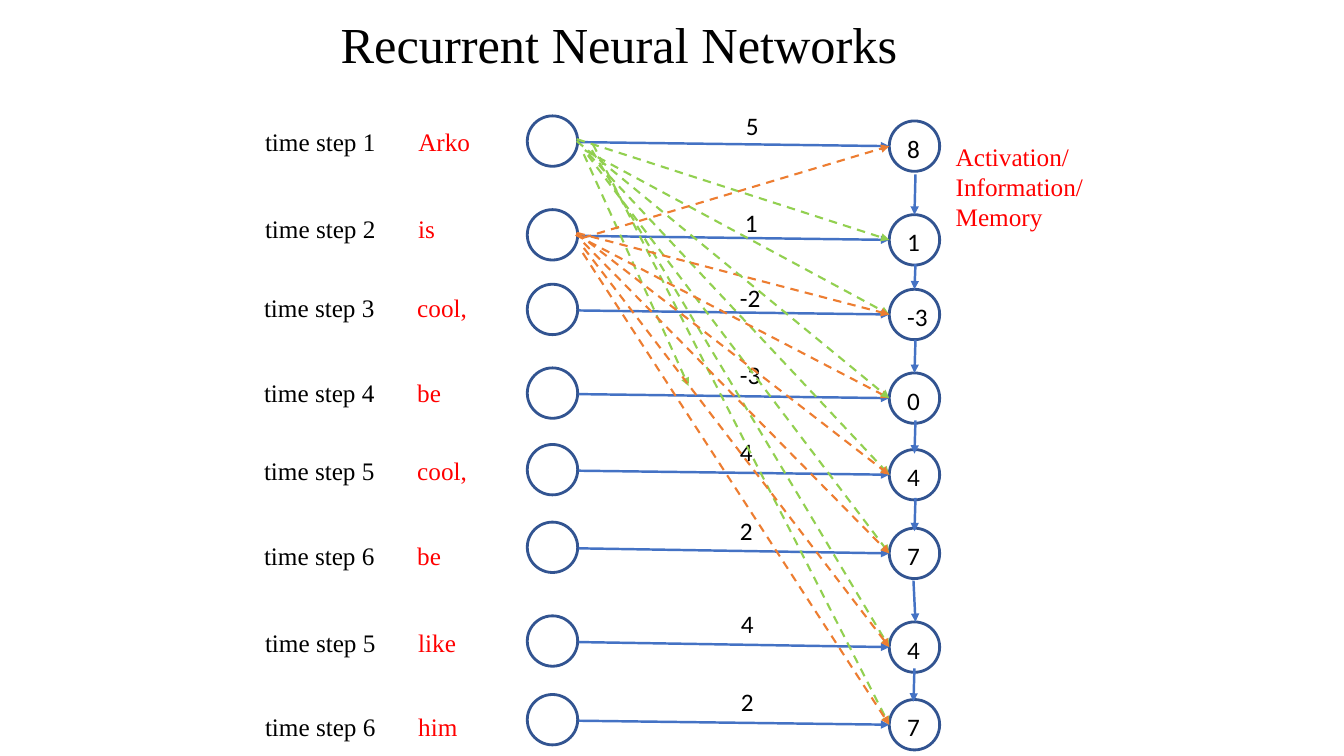
from lxml import etree
from pptx import Presentation, util as u
from pptx.dml.color import RGBColor
from pptx.enum import dml, shapes, text
from pptx.oxml.ns import qn

PX = 9144
BLACK = RGBColor(0x00, 0x00, 0x00)
RED = RGBColor(0xFF, 0x00, 0x00)
NAVY = RGBColor(0x32, 0x54, 0x91)
BLUE = RGBColor(0x44, 0x72, 0xC4)
GREEN = RGBColor(0x92, 0xD0, 0x50)
ORANGE = RGBColor(0xED, 0x7D, 0x31)
SERIF = "Times New Roman"

NODE = 50
INPUT_X, OUTPUT_X = 523, 882

deck = Presentation()
deck.slide_width, deck.slide_height = 1333 * PX, 750 * PX
slide = deck.slides.add_slide(deck.slide_layouts[6])


def add_label(wording, x, y, w, h=40, wrap=False, **changes):
    frame = slide.shapes.add_textbox(x * PX, y * PX, w * PX, h * PX).text_frame
    frame.word_wrap = wrap
    frame.text = wording
    look = {"name": SERIF, "size": u.Pt(18)} | changes
    color = look.pop("color", BLACK)
    for paragraph in frame.paragraphs:
        for attribute, value in look.items():
            setattr(paragraph.font, attribute, value)
        paragraph.font.color.rgb = color
    return frame


def add_arrow(start, end, color, width=1.75, dash=None):
    arrow = slide.shapes.add_connector(
        shapes.MSO_CONNECTOR.STRAIGHT, *(n * PX for n in (*start, *end)))
    arrow.line.color.rgb = color
    arrow.line.width = u.Pt(width)
    if dash:
        arrow.line.dash_style = dash
    etree.SubElement(arrow.line._get_or_add_ln(), qn("a:tailEnd"), type="triangle")
    etree.SubElement(arrow._element.spPr, qn("a:effectLst"))


title = add_label("Recurrent Neural Networks", 328, 5, 678, 83, True, size=u.Pt(36))
title.vertical_anchor = text.MSO_ANCHOR.MIDDLE
title.paragraphs[0].line_spacing = 0.9

steps = [
    ("time step 1", 253, 120, "Arko", 72, "5", 730, 105, 115, 120, "8"),
    ("time step 2", 253, 207, "is", 43, "1", 729, 201, 208, 213, "1"),
    ("time step 3", 252, 285, "cool,", 76, "-2", 724, 275, 282, 287, "-3"),
    ("time step 4", 252, 369, "be", 50, "-3", 724, 352, 365, 370, "0"),
    ("time step 5", 252, 447, "cool,", 76, "4", 724, 428, 441, 446, "4"),
    ("time step 6", 252, 531, "be", 50, "2", 724, 506, 518, 524, "7"),
    ("time step 5", 253, 617, "like", 64, "4", 725, 599, 611, 617, "4"),
    ("time step 6", 253, 701, "him", 66, "2", 725, 676, 689, 694, "7"),
]
output_ports = []
for (step, step_x, step_y, word, word_w, weight, weight_x, weight_y,
     input_y, output_y, state) in steps:
    add_label(step, step_x, step_y, 131)
    add_label(word, step_x + 152, step_y, word_w, color=RED)
    add_label(weight, weight_x, weight_y, 50, wrap=True, name="Calibri")
    for node_x, node_y in ((INPUT_X, input_y), (OUTPUT_X, output_y)):
        node = slide.shapes.add_shape(
            shapes.MSO_SHAPE.OVAL, node_x * PX, node_y * PX, NODE * PX, NODE * PX)
        node.shadow.inherit = False
        node.fill.background()
        node.line.color.rgb = NAVY
        node.line.width = u.Pt(2)
    output_port = (OUTPUT_X, output_y + NODE // 2)
    output_ports.append(output_port)
    add_arrow((INPUT_X + NODE + 1, input_y + 26), output_port, BLUE)
    add_label(state, OUTPUT_X + 8, output_y + 7, 50, wrap=True, name="Calibri")

add_label("Activation/\nInformation/\nMemory", 938, 135, 148, 101, color=RED)

first_word_links = [
    ((572, 138), output_ports[1]),
    ((580, 149), output_ports[2]),
    ((579, 153), (683, 383)),
    ((584, 153), output_ports[4]),
    ((583, 154), output_ports[5]),
    ((587, 149), output_ports[6]),
    ((588, 143), output_ports[7]),
]
second_word_links = [
    ((578, 236), output_ports[0]),
    ((572, 231), output_ports[2]),
    ((571, 233), output_ports[3]),
    ((572, 231), output_ports[4]),
    ((579, 241), output_ports[5]),
    ((579, 246), output_ports[6]),
    ((578, 251), output_ports[7]),
]
fourth_step_link = [((572, 140), output_ports[3])]
for color, links in ((GREEN, first_word_links), (ORANGE, second_word_links),
                     (GREEN, fourth_step_link)):
    for start, end in links:
        add_arrow(start, end, color, 1.5, dml.MSO_LINE.DASH)

memory_links = [
    (908, 173, 907, 213), (908, 262, 907, 287), (908, 337, 907, 370),
    (908, 417, 907, 450), (908, 494, 907, 527), (906, 576, 908, 617),
    (907, 663, 906, 696),
]
for x1, y1, x2, y2 in memory_links:
    add_arrow((x1, y1), (x2, y2), BLUE)

deck.save("out.pptx")
